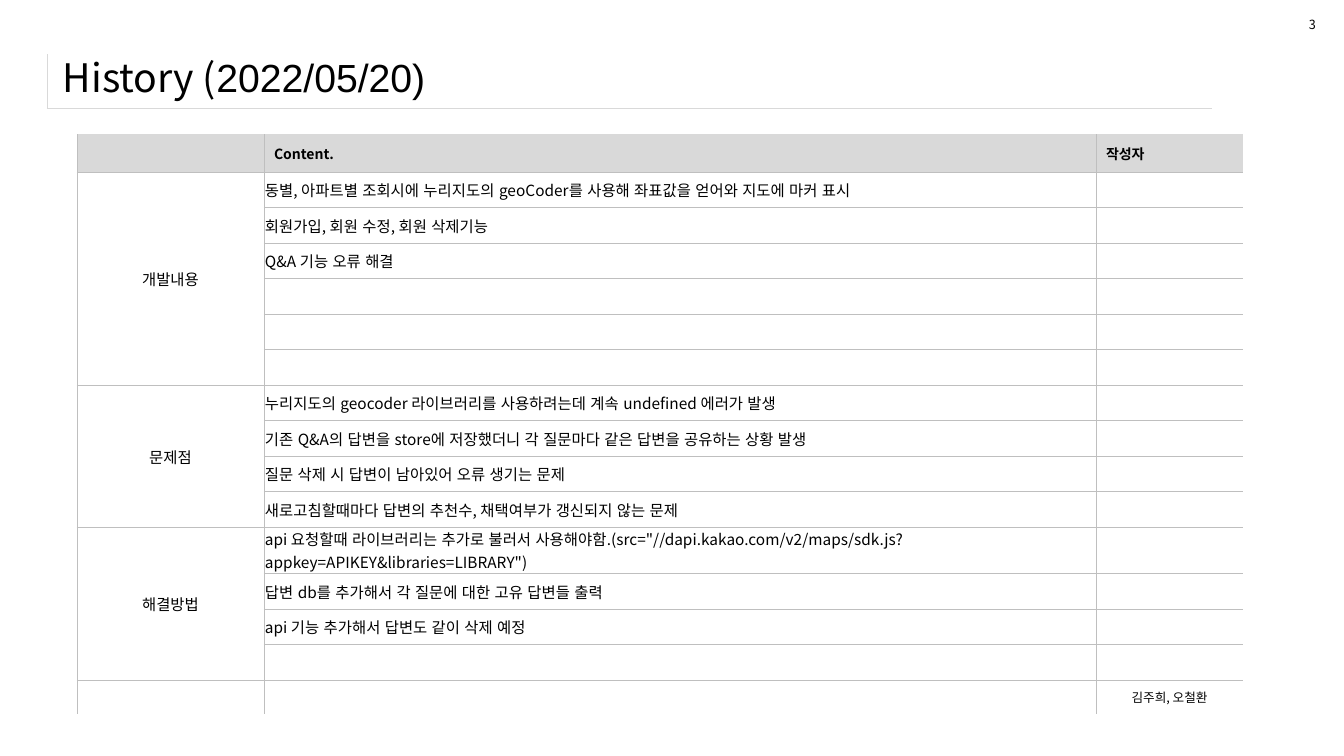
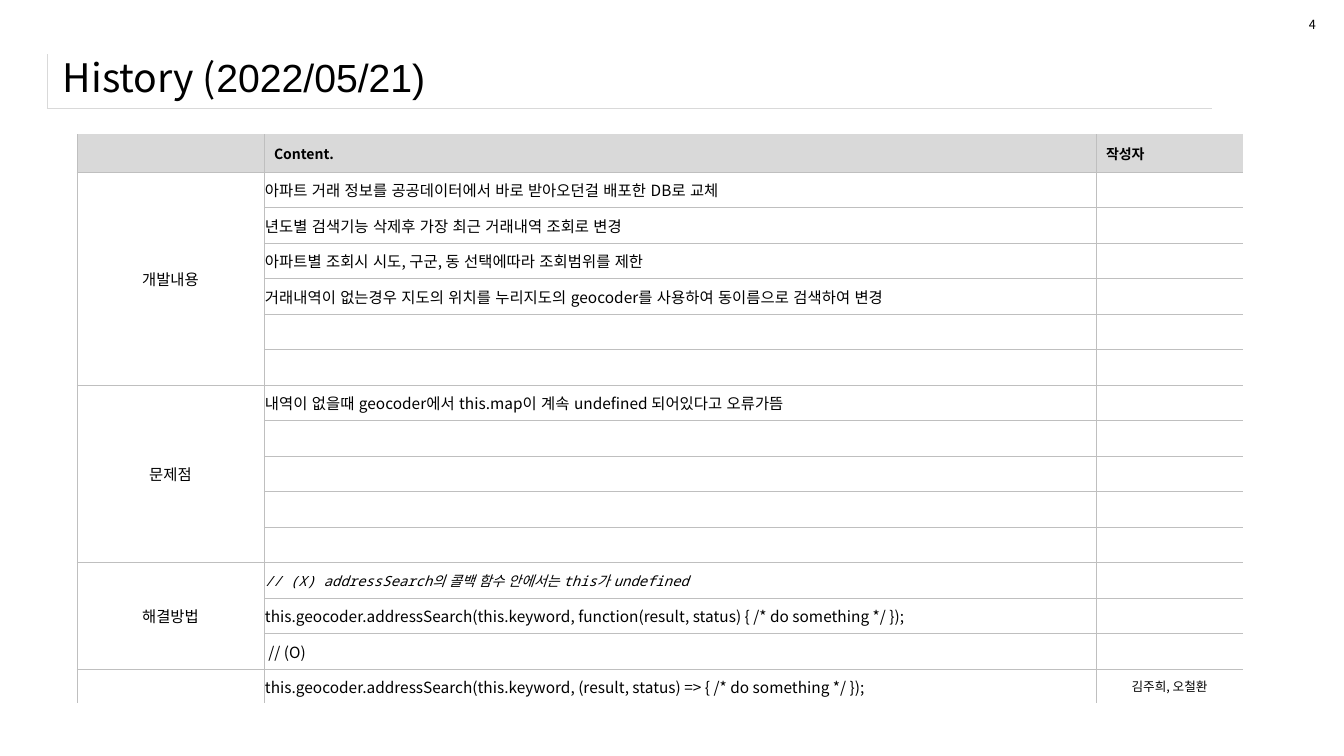
from lxml import etree
from pptx import Presentation
from pptx.dml.color import RGBColor
from pptx.enum.text import MSO_ANCHOR, MSO_AUTO_SIZE, PP_ALIGN
from pptx.oxml.ns import qn
from pptx.util import Pt

PX = 914400 / 100.8
MIDDLE = MSO_ANCHOR.MIDDLE
FIT_SHAPE = MSO_AUTO_SIZE.SHAPE_TO_FIT_TEXT
LEFT, CENTER = PP_ALIGN.LEFT, PP_ALIGN.CENTER

BLACK = RGBColor(0x00, 0x00, 0x00)
WHITE = RGBColor(0xFF, 0xFF, 0xFF)
RULE = RGBColor(0xD9, 0xD9, 0xD9)
HEADER = RGBColor(0xD9, 0xD9, 0xD9)
GRID = RGBColor(0xBF, 0xBF, 0xBF)

SANS, MONO, ARIAL = "Noto Sans CJK KR", "Noto Sans Mono", "Arial"

COLUMNS = (187, 832, 147)
HEADER_HEIGHT, BODY_HEIGHT, WRAP_EXTRA = 38, 532, 11
AUTHORS = "김주희, 오철환"

HISTORY = [
    {
        "page": "3",
        "date": "2022/05/20",
        "wrapped_row": 11,
        "sections": [
            ("개발내용", 6, [
                "동별, 아파트별 조회시에 누리지도의 geoCoder를 사용해 좌표값을 얻어와 지도에 마커 표시",
                "회원가입, 회원 수정, 회원 삭제기능",
                "Q&A 기능 오류 해결",
            ]),
            ("문제점", 4, [
                "누리지도의 geocoder 라이브러리를 사용하려는데 계속 undefined 에러가 발생",
                "기존 Q&A의 답변을 store에 저장했더니 각 질문마다 같은 답변을 공유하는 상황 발생",
                "질문 삭제 시 답변이 남아있어 오류 생기는 문제",
                "새로고침할때마다 답변의 추천수, 채택여부가 갱신되지 않는 문제",
            ]),
            ("해결방법", 4, [
                "api 요청할때 라이브러리는 추가로 불러서 사용해야함."
                '(src="//dapi.kakao.com/v2/maps/sdk.js?appkey=APIKEY&libraries=LIBRARY")',
                "답변 db를 추가해서 각 질문에 대한 고유 답변들 출력",
                "api 기능 추가해서 답변도 같이 삭제 예정",
            ]),
            ("", 1, []),
        ],
    },
    {
        "page": "4",
        "date": "2022/05/21",
        "sections": [
            ("개발내용", 6, [
                "아파트 거래 정보를 공공데이터에서 바로 받아오던걸 배포한 DB로 교체",
                "년도별 검색기능 삭제후 가장 최근 거래내역 조회로 변경",
                "아파트별 조회시 시도, 구군, 동 선택에따라 조회범위를 제한",
                "거래내역이 없는경우 지도의 위치를 누리지도의 geocoder를 사용하여 동이름으로 검색하여 변경",
            ]),
            ("문제점", 5, [
                "내역이 없을때 geocoder에서 this.map이 계속 undefined 되어있다고 오류가뜸",
            ]),
            ("해결방법", 3, [
                [("// (X) addressSearch", MONO), ("의 콜백 함수 안에서는 ", SANS),
                 ("this", MONO), ("가 ", SANS), ("undefined", MONO)],
                "this.geocoder.addressSearch(this.keyword, function(result, status) { /* do something */ });",
                " // (O)",
            ]),
            ("", 1, [
                "this.geocoder.addressSearch(this.keyword, (result, status) => { /* do something */ });",
            ]),
        ],
    },
]


def px(n):
    """Turn pixels into EMU."""
    return round(n * PX)


def write(tf, text, size=11, bold=False, italic=False, align=LEFT):
    """Write a string, or a list of (text, font) runs, as one paragraph."""
    p = tf.paragraphs[0]
    p.alignment = align
    runs = [(text, SANS)] if isinstance(text, str) else text
    for words, name in runs:
        if not words:
            etree.SubElement(p._p, qn("a:endParaRPr"), sz=str(size * 100))
            continue
        r = p.add_run()
        r.text = words
        r.font.size, r.font.bold, r.font.italic = Pt(size), bold, italic
        r.font.color.rgb = BLACK
        r.font.name = name
        r.font._element.set("lang", "ko-KR")
        r.font._element.set("altLang", "en-US")
        etree.SubElement(r.font._element, qn("a:ea"), typeface=name)


def add_text(s, box, text, wrap=True, **style):
    """Add a text box with one paragraph."""
    sp = s.shapes.add_textbox(*map(px, box))
    sp.text_frame.word_wrap = wrap
    write(sp.text_frame, text, **style)
    return sp


def add_plain_table(s, left, top, widths, heights):
    """Add an unbanded table with the given column widths and row heights."""
    frame = s.shapes.add_table(len(heights), len(widths), px(left), px(top),
                               px(sum(widths)), px(sum(heights)))
    table = frame.table
    table.first_row = table.horz_banding = False
    for column, width in zip(table.columns, widths):
        column.width = px(width)
    for row, height in zip(table.rows, heights):
        row.height = px(height)
    return table


def set_borders(cell, **sides):
    """Set the four cell borders, each a (colour, points) pair or None."""
    tc_pr = cell._tc.get_or_add_tcPr()
    for i, side in enumerate("LRTB"):
        ln = etree.Element(qn("a:ln" + side))
        if sides.get(side):
            color, points = sides[side]
            ln.set("w", str(Pt(points)))
            fill = etree.SubElement(ln, qn("a:solidFill"))
            etree.SubElement(fill, qn("a:srgbClr"), val=str(color))
        else:
            etree.SubElement(ln, qn("a:noFill"))
        tc_pr.insert(i, ln)


def fill_cell(cell, text, tight=True, **style):
    """Write a cell, with narrow margins when tight."""
    cell.vertical_anchor = MIDDLE
    if tight:
        cell.margin_left = cell.margin_right = cell.margin_top = px(1)
        cell.margin_bottom = 0
    write(cell.text_frame, text, **style)


def format_grid(table):
    """Set fills and borders; the right and top edges stay open."""
    last_row, last_col = len(table.rows) - 1, len(table.columns) - 1
    grid = (GRID, 0.25)
    for i, row in enumerate(table.rows):
        for j, cell in enumerate(row.cells):
            if i == 0:
                cell.fill.solid()
                cell.fill.fore_color.rgb = HEADER
            else:
                cell.fill.background()
            set_borders(cell, L=grid, R=grid if j < last_col else None,
                        T=grid if i else None,
                        B=grid if i < last_row else (WHITE, 1))


def add_title(s, title):
    """Add the title and the one-cell table that rules its left and bottom."""
    cell = add_plain_table(s, 47, 54, [1165], [54]).cell(0, 0)
    fill_cell(cell, "")
    cell.fill.background()
    set_borders(cell, L=(RULE, 0.25), B=(RULE, 0.25))
    sp = add_text(s, (53, 45, 1259, 64), title, size=28)
    sp.text_frame.vertical_anchor = MIDDLE


def add_history_table(s, sections, wrapped_row):
    """Add the log table: a header, then one merged label per section."""
    count = sum(size for _, size, _ in sections)
    edges = [round(BODY_HEIGHT * n / count) for n in range(count + 1)]
    heights = [HEADER_HEIGHT] + [b - a for a, b in zip(edges, edges[1:])]
    if wrapped_row:
        heights[wrapped_row] += WRAP_EXTRA
    table = add_plain_table(s, 77, 134, COLUMNS, heights)

    for j, heading in enumerate(("", "Content.", "작성자")):
        fill_cell(table.cell(0, j), heading, tight=False, size=10, bold=True)
    first = 1
    for label, size, lines in sections:
        for k in range(size):
            text = lines[k] if k < len(lines) else ""
            is_code = not isinstance(text, str)
            fill_cell(table.cell(first + k, 1), text,
                      size=10 if is_code else 11, italic=is_code)
            if first + k < count:
                fill_cell(table.cell(first + k, 2), "")
        fill_cell(table.cell(first, 0), label, align=CENTER)
        if size > 1:
            table.cell(first, 0).merge(table.cell(first + size - 1, 0))
        first += size
    fill_cell(table.cell(count, 2), AUTHORS, tight=False, size=9, align=CENTER)
    format_grid(table)


def add_history_slide(prs, page, date, sections, wrapped_row=None):
    """Add one dated slide with its title, table and page number."""
    s = prs.slides.add_slide(prs.slide_layouts[6])
    add_title(s, [("History (", SANS), (date + ")", ARIAL)])
    add_history_table(s, sections, wrapped_row)
    sp = add_text(s, (1299, 12, 27, 25), page, wrap=False, size=9)
    sp.text_frame.auto_size = FIT_SHAPE


def main():
    """Build and save the presentation."""
    prs = Presentation()
    prs.slide_width, prs.slide_height = px(1344), px(756)
    for entry in HISTORY:
        add_history_slide(prs, **entry)
    prs.save("out.pptx")


if __name__ == "__main__":
    main()
